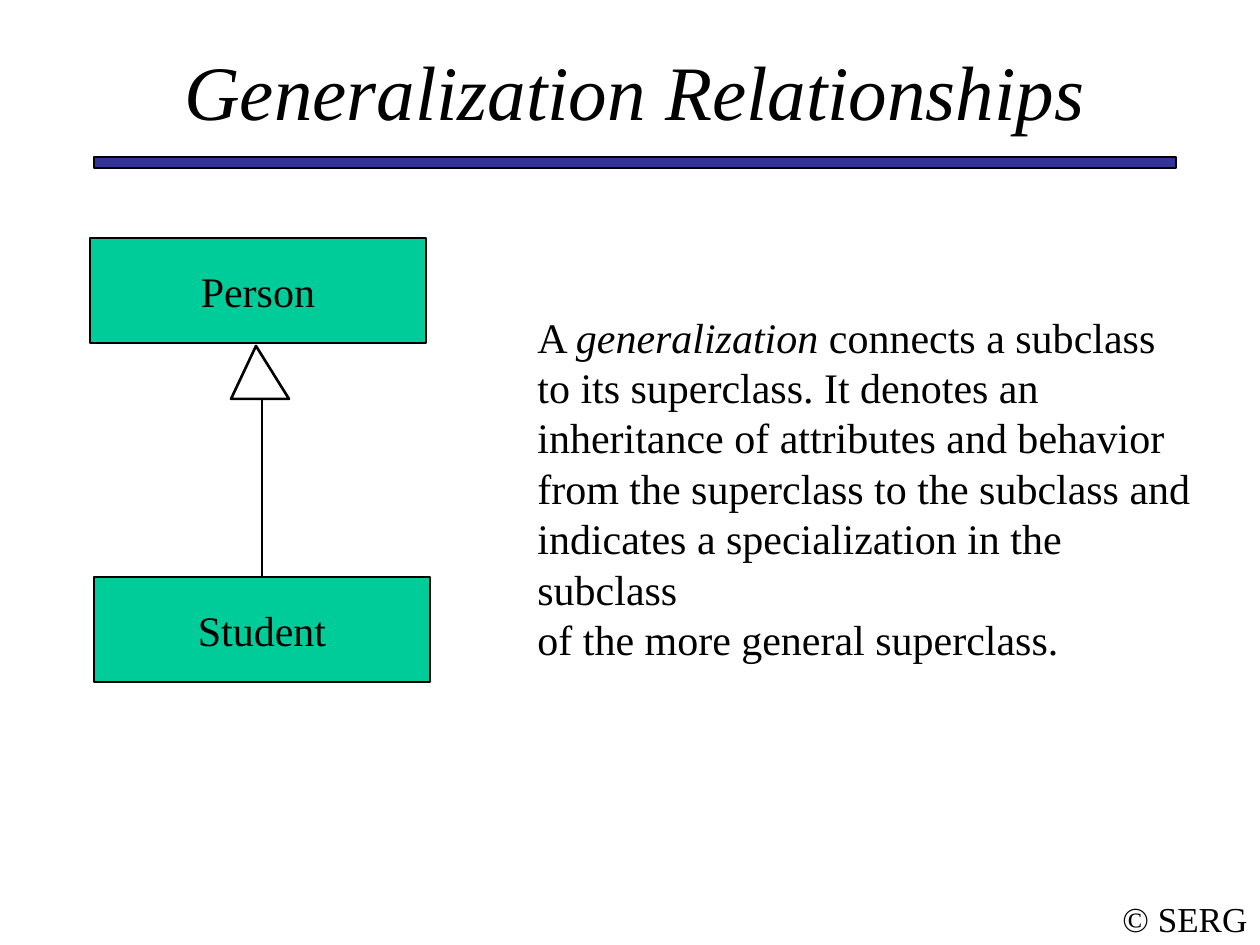
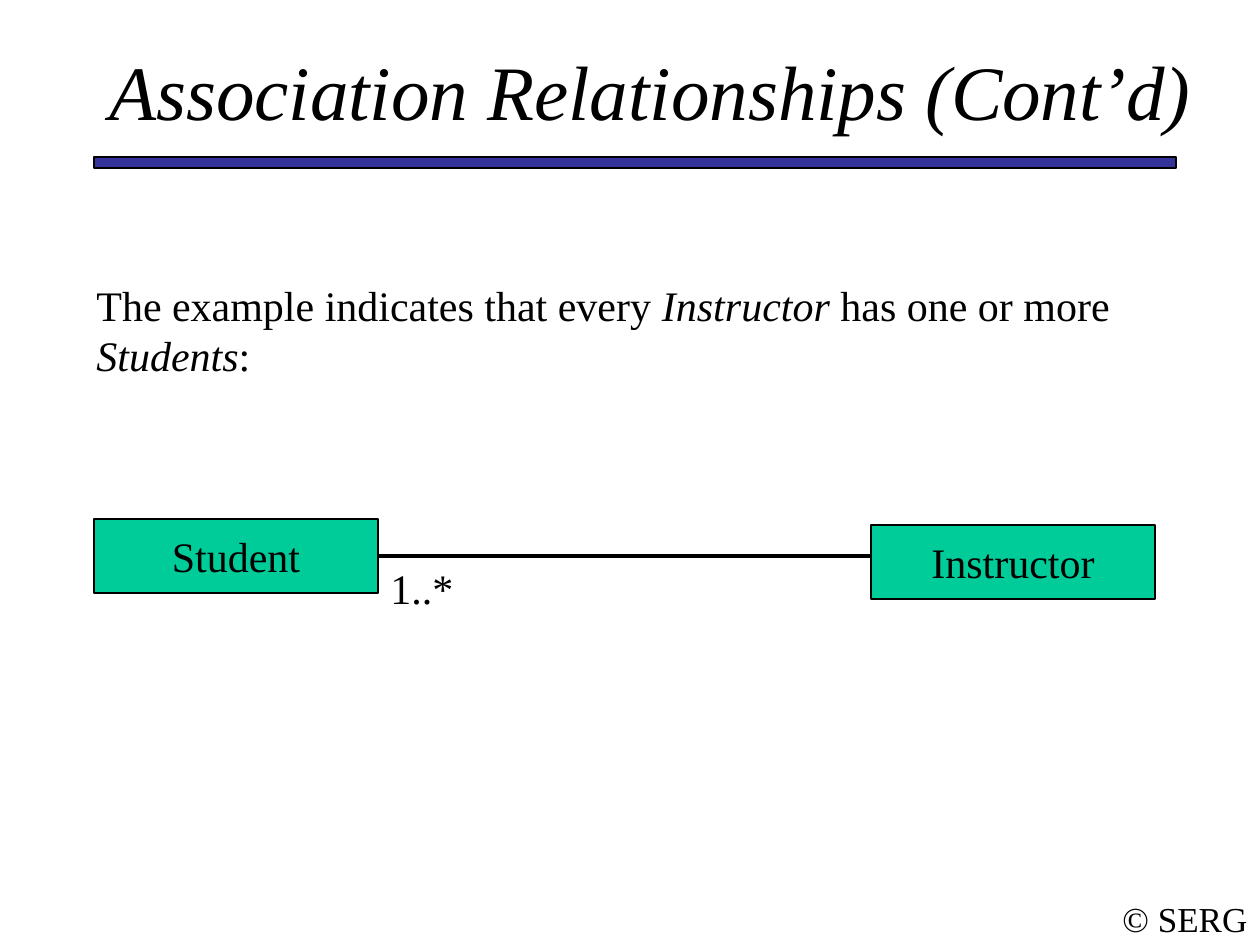
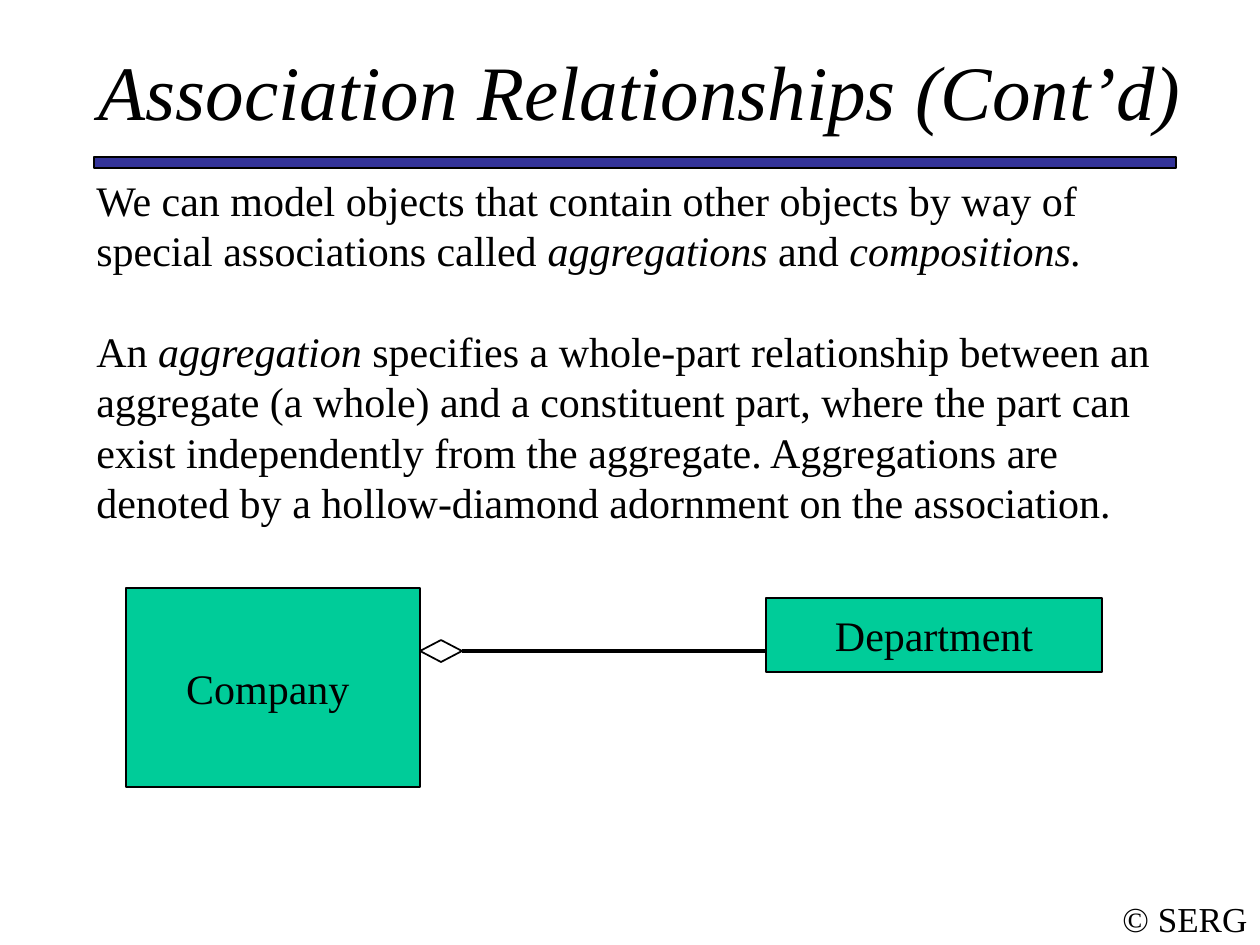
from lxml import etree
from pptx import Presentation
from pptx import util as u
from pptx.dml.color import RGBColor
from pptx.enum import shapes, text
from pptx.oxml.ns import qn

SCALE = 914400 / 126
FONT = "Times New Roman"
INK = {"text": "000000", "line": "000000", "bar": "333399",
       "node": "00CC99", "hollow": "FFFFFF"}
MID = text.MSO_ANCHOR.MIDDLE
TOP = text.MSO_ANCHOR.TOP
CENTER = text.PP_ALIGN.CENTER
LEFT = text.PP_ALIGN.LEFT


def px(n):
    return round(n * SCALE)


def tint(name):
    return RGBColor.from_string(INK[name])


def write(frame, paras, size=24, align=LEFT, anchor=TOP, wrap=True, gap=0):
    frame.word_wrap = wrap
    frame.vertical_anchor = anchor
    for i, runs in enumerate(paras):
        para = frame.paragraphs[0] if i == 0 else frame.add_paragraph()
        para.alignment = align
        if i and gap:
            para.space_before = u.Pt(gap)
        for words, slant in runs:
            run = para.add_run()
            run.text = words
            run.font.name = FONT
            run.font.size = u.Pt(size)
            run.font.italic = slant
            run.font.color.rgb = tint("text")


def label(slide, box, paras, **style):
    shape = slide.shapes.add_textbox(*map(px, box))
    write(shape.text_frame, paras, **style)


def paint(shape, fill, width):
    shape.shadow.inherit = False
    shape.fill.solid()
    shape.fill.fore_color.rgb = tint(fill)
    shape.line.color.rgb = tint("line")
    shape.line.width = u.Pt(width)


def rect(slide, box, fill):
    shape = slide.shapes.add_shape(shapes.MSO_SHAPE.RECTANGLE, *map(px, box))
    paint(shape, fill, 0.75)
    return shape


def node(slide, box, name):
    shape = rect(slide, box, "node")
    write(shape.text_frame, [[(name, False)]], align=CENTER, anchor=MID,
          wrap=False)
    return shape


def link(slide, start, end, width):
    line = slide.shapes.add_connector(
        shapes.MSO_CONNECTOR.STRAIGHT, *map(px, start + end))
    line.line.color.rgb = tint("line")
    line.line.width = u.Pt(width)
    etree.SubElement(line._element.spPr, qn("a:effectLst"))
    return line


def outline(slide, points, width):
    build = slide.shapes.build_freeform(*points[0], scale=SCALE)
    build.add_line_segments(points[1:], close=True)
    paint(build.convert_to_shape(), "hollow", width)


def base(deck, title, box):
    slide = deck.slides.add_slide(deck.slide_layouts[6])
    label(slide, (1110, 891, 150, 54), [[("© SERG", False)]], size=20,
          align=CENTER, anchor=MID, wrap=False)
    rect(slide, (94, 157, 1082, 11), "bar")
    label(slide, box, [[(title, True)]], size=44, align=CENTER, anchor=MID)
    return slide


def inherit(slide, box):
    x, y, w, h = box
    tall = 105
    node(slide, (x - 4, y, w, tall), "Person")
    child = node(slide, (x, y + h - tall, w, tall), "Student")
    mid, tip, foot = x + w // 2, y + 108, y + 161
    line = link(slide, (mid, foot), (mid, y + h - tall), 1.5)
    line.end_connect(child, 0)
    outline(slide, [(mid - 6, tip), (mid - 31, foot), (mid + 27, foot)], 1.5)


def relate(slide, box):
    x, y, w, h = box
    wide, mid = 284, y + h // 2
    left = node(slide, (x, y, wide, h), "Student")
    line = link(slide, (x + wide, mid), (x + w - wide + 10, mid), 2.25)
    line.begin_connect(left, 3)
    node(slide, (x + w - wide, y + 6, wide, h), "Instructor")
    label(slide, (x + wide, mid, 94, 63), [[("1..*", False)]])


def contain(slide, box):
    x, y, w, h = box
    whole, part, mid = 294, 336, y + 63
    node(slide, (x, y, whole, h), "Company ")
    node(slide, (x + w - part, y + 10, part, 74), "Department")
    edge = x + whole
    link(slide, (edge + 42, mid), (x + w - part, mid), 2.25)
    outline(slide, [(edge, mid), (edge + 21, mid - 11),
                    (edge + 42, mid), (edge + 21, mid + 11)], 1)


def main():
    deck = Presentation()
    deck.slide_width, deck.slide_height = px(1260), px(945)

    slide = base(deck, "Generalization Relationships", (94, 53, 1082, 73))
    inherit(slide, (94, 238, 336, 444))
    label(slide, (525, 305, 699, 315), [
        [("A ", False), ("generalization", True),
         (" connects a subclass", False)],
        [("to its superclass. It denotes an", False)],
        [("inheritance of attributes and behavior", False)],
        [("from the superclass to the subclass and", False)],
        [("indicates a specialization in the subclass", False)],
        [("of the more general superclass.", False)]])

    again = "Association Relationships (Cont’d)"
    slide = base(deck, again, (84, 53, 1134, 73))
    label(slide, (84, 273, 1118, 113), [
        [("The example indicates that every ", False), ("Instructor", True),
         (" has one or more ", False), ("Students", True), (":", False)]])
    relate(slide, (94, 519, 1061, 74))

    slide = base(deck, again, (84, 53, 1113, 73))
    label(slide, (84, 168, 1081, 365), [
        [("We can model objects that contain other objects by way of special "
          "associations called ", False), ("aggregations", True),
         (" and ", False), ("compositions.", True)],
        [("An ", False), ("aggregation", True),
         (" specifies a whole-part relationship between an aggregate "
          "(a whole) and a constituent part, where the part can exist "
          "independently from the aggregate. Aggregations are denoted by a "
          "hollow-diamond adornment on the association.", False)]], gap=28.8)
    contain(slide, (126, 588, 976, 199))

    deck.save("out.pptx")


if __name__ == "__main__":
    main()
